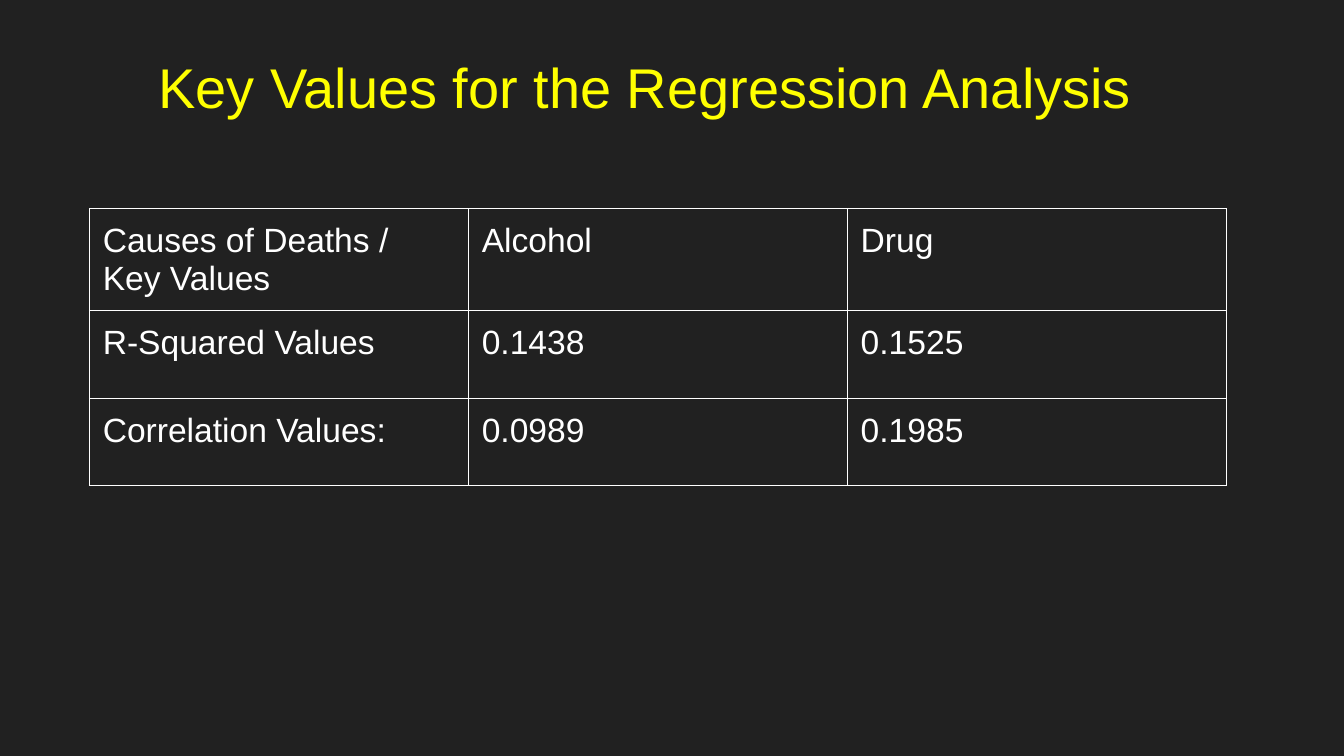
from pptx import Presentation
from pptx.dml.color import RGBColor
from pptx.enum.text import MSO_ANCHOR, PP_ALIGN
from pptx.oxml import parse_xml
from pptx.oxml.ns import nsdecls
from pptx.util import Inches, Pt

COLORS = {"background": "212121", "title": "FFFF00", "text": "FFFFFF", "border": "FFFFFF"}
FONT = "Arial"
WIDTH = Inches(10)
HEIGHT = WIDTH * 9 // 16
# Left, top, width and height in percent of the slide's size
TITLE_BOX = (1.5, 5, 95, 14.6)
TABLE_BOX = (6.65, 27.6, 84.6, 34.7)
ROWS = [
    ["Causes of Deaths / Key Values", "Alcohol", "Drug"],
    ["R-Squared Values", "0.1438", "0.1525"],
    ["Correlation Values:", "0.0989", "0.1985"],
]


def to_lengths(box):
    return [int(share * side / 100) for share, side in zip(box, (WIDTH, HEIGHT) * 2)]


def format_text(paragraph, size, color):
    for span in paragraph.runs:
        span.font.name = FONT
        span.font.size = Pt(size)
        span.font.color.rgb = RGBColor.from_string(COLORS[color])


def set_margins(holder, right=0.1, bottom=0.1):
    holder.margin_left = holder.margin_top = Inches(0.1)
    holder.margin_right = Inches(right)
    holder.margin_bottom = Inches(bottom)


def add_borders(cell):
    properties = cell._tc.get_or_add_tcPr()
    for index, side in enumerate(("lnL", "lnR", "lnT", "lnB")):
        properties.insert(index, parse_xml(
            f'<a:{side} {nsdecls("a")} w="{Pt(0.75)}"><a:solidFill>'
            f'<a:srgbClr val="{COLORS["border"]}"/></a:solidFill></a:{side}>'))


def place_title(page, box, text):
    title = page.shapes.title
    title.left, title.top, title.width, title.height = to_lengths(box)
    frame = title.text_frame
    frame.text = text
    frame.word_wrap = True
    frame.vertical_anchor = MSO_ANCHOR.MIDDLE
    # Sets the heading slightly left of and above the centre
    set_margins(frame, right=0.3, bottom=0.14)
    paragraph = frame.paragraphs[0]
    paragraph.alignment = PP_ALIGN.CENTER
    paragraph.line_spacing = 0.9
    format_text(paragraph, 30, "title")


def place_table(page, box, rows):
    table = page.shapes.add_table(len(rows), len(rows[0]), *to_lengths(box)).table
    table.first_row = table.horz_banding = False
    for row_index, row in enumerate(rows):
        for column_index, text in enumerate(row):
            cell = table.cell(row_index, column_index)
            cell.text = text
            cell.fill.background()
            cell.vertical_anchor = MSO_ANCHOR.TOP
            set_margins(cell)
            add_borders(cell)
            format_text(cell.text_frame.paragraphs[0], 18, "text")


def main():
    deck = Presentation()
    deck.slide_width, deck.slide_height = WIDTH, HEIGHT
    page = deck.slides.add_slide(deck.slide_layouts[5])

    # Dark background
    fill = page.background.fill
    fill.solid()
    fill.fore_color.rgb = RGBColor.from_string(COLORS["background"])

    # Heading and table of values
    place_title(page, TITLE_BOX, "Key Values for the Regression Analysis")
    place_table(page, TABLE_BOX, ROWS)

    deck.save("out.pptx")


if __name__ == "__main__":
    main()
